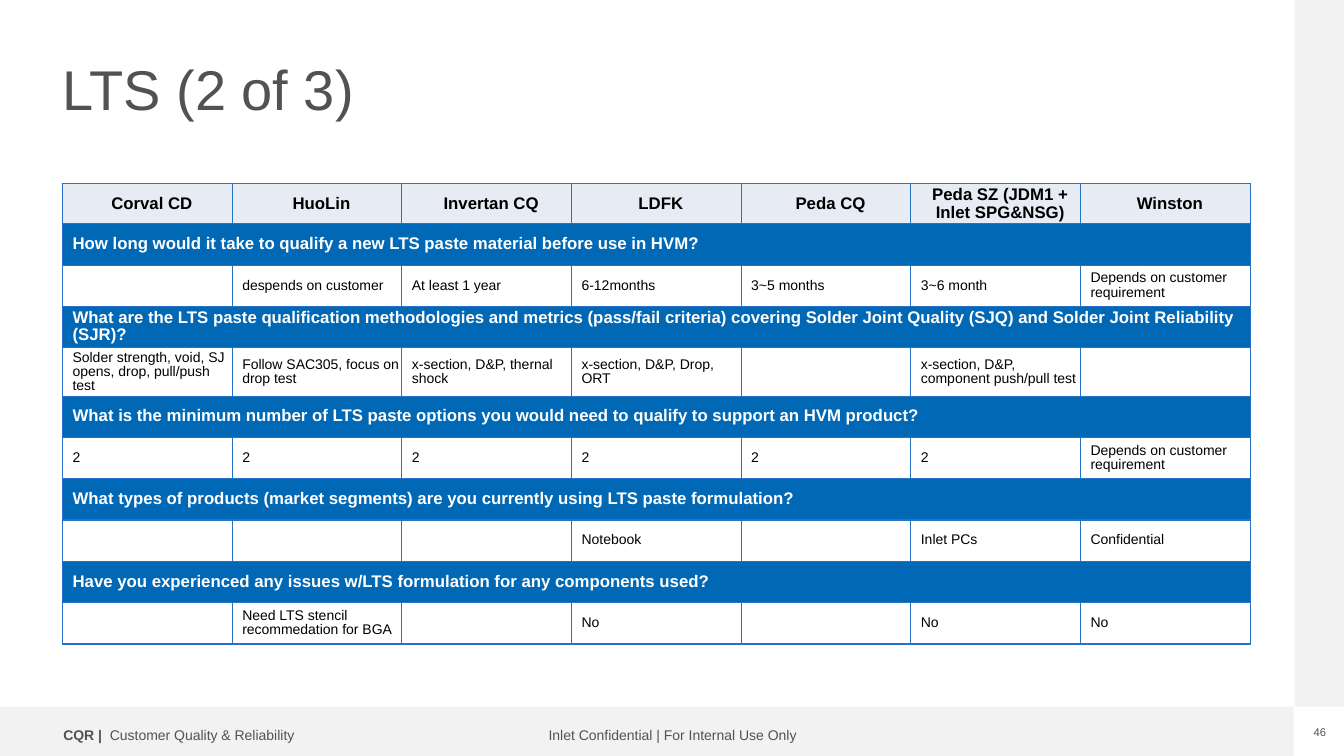
"""Builds the LTS survey slide: answers of seven manufacturers to five questions."""
import pptx
import pptx.util
import pptx.dml.color
import pptx.enum.shapes
import pptx.enum.text
import lxml.etree
from pptx.util import Inches

COLORS = {"band": "F2F2F2", "grey": "525252", "header": "E7EBF3", "question": "0068B5",
          "border": "2872C5", "white": "FFFFFF", "black": "000000"}
ALIGN = pptx.enum.text.PP_ALIGN
ANCHOR = pptx.enum.text.MSO_ANCHOR

manufacturers = ["Corval CD", "HuoLin", "Invertan CQ", "LDFK", "Peda CQ",
                 "Peda SZ (JDM1 + Inlet SPG&NSG)", "Winston"]
survey = [
    ("How long would it take to qualify a new LTS paste material before use in HVM?",
     ["", "despends on customer", "At least 1 year", "6-12months", "3~5 months", "3~6 month",
      "Depends on customer requirement"]),
    ("What are the LTS paste qualification methodologies and metrics (pass/fail criteria) "
     "covering Solder Joint Quality (SJQ) and Solder Joint Reliability (SJR)?",
     ["Solder strength, void, SJ opens, drop, pull/push test", "Follow SAC305, focus on drop test",
      "x-section, D&P, thernal shock", "x-section, D&P, Drop, ORT", "",
      "x-section, D&P, component push/pull test", ""]),
    ("What is the minimum number of LTS paste options you would need to qualify "
     "to support an HVM product?",
     ["2"] * 6 + ["Depends on customer requirement"]),
    ("What types of products (market segments) are you currently using LTS paste formulation?",
     ["", "", "", "Notebook", "", "Inlet PCs", "Confidential"]),
    ("Have you experienced any issues w/LTS formulation for any components used?",
     ["", "Need LTS stencil recommedation for BGA", "", "No", "", "No", "No"]),
]


def add_run(paragraph, text, size, color, bold=False):
    run = paragraph.add_run()
    run.text = text
    font_format = {"name": "Arial", "size": pptx.util.Pt(size), "bold": bold}
    for attribute, value in font_format.items():
        setattr(run.font, attribute, value)
    run.font.color.rgb = pptx.dml.color.RGBColor.from_string(COLORS[color])


def fill_cell(cell, text, size, color, fill, bold=False, align=ALIGN.LEFT, spacing=0.9):
    cell_format = {"margin_left": Inches(0.1), "margin_right": Inches(0.01),
                   "margin_top": Inches(0), "margin_bottom": Inches(0),
                   "vertical_anchor": ANCHOR.MIDDLE}
    for attribute, value in cell_format.items():
        setattr(cell, attribute, value)
    paragraph = cell.text_frame.paragraphs[0]
    paragraph.alignment = align
    paragraph.line_spacing = spacing
    if text:
        add_run(paragraph, text, size, color, bold)
    properties = cell._tc.get_or_add_tcPr()
    for side in ("lnL", "lnR", "lnT", "lnB"):
        properties.append(pptx.oxml.parse_xml(
            f'<a:{side} xmlns:a="http://schemas.openxmlformats.org/drawingml/2006/main" w="12700">'
            f'<a:solidFill><a:srgbClr val="{COLORS["border"]}"/></a:solidFill></a:{side}>'))
    cell.fill.solid()
    cell.fill.fore_color.rgb = pptx.dml.color.RGBColor.from_string(COLORS[fill])


presentation = pptx.Presentation()
presentation.slide_width = Inches(13.33)
presentation.slide_height = Inches(7.5)
slide = presentation.slides.add_slide(presentation.slide_layouts[5])

for left, top, width, height in [(-0.01, 7.01, 12.84, 0.49), (12.84, 0, 0.49, 7.01)]:
    band = slide.shapes.add_shape(pptx.enum.shapes.MSO_SHAPE.RECTANGLE, Inches(left), Inches(top),
                                  Inches(width), Inches(height))
    band.shadow.inherit = False
    band.fill.solid()
    band.fill.fore_color.rgb = pptx.dml.color.RGBColor.from_string(COLORS["band"])
    band.line.fill.background()

footers = [
    (5.29, 7.18, 2.76, 0.25, ALIGN.CENTER, 10, 0.1, 0.05,
     [("Inlet Confidential | For Internal Use Only", False)]),
    (0.53, 7.18, 2.54, 0.25, ALIGN.LEFT, 10, 0.1, 0.05,
     [("CQR | ", True), (" Customer Quality & Reliability", False)]),
    (13.02, 7.2, 0.14, 0.13, ALIGN.CENTER, 8, 0, 0, [("46", False)]),
]
for left, top, width, height, align, size, side_margin, edge_margin, parts in footers:
    footer = slide.shapes.add_textbox(Inches(left), Inches(top), Inches(width), Inches(height))
    footer_format = {"margin_left": Inches(side_margin), "margin_right": Inches(side_margin),
                     "margin_top": Inches(edge_margin), "margin_bottom": Inches(edge_margin),
                     "word_wrap": False,
                     "auto_size": pptx.enum.text.MSO_AUTO_SIZE.SHAPE_TO_FIT_TEXT}
    for attribute, value in footer_format.items():
        setattr(footer.text_frame, attribute, value)
    line = footer.text_frame.paragraphs[0]
    line.alignment = align
    line.line_spacing = 0.9 if size == 10 else 1.0
    for text, bold in parts:
        add_run(line, text, size, "grey", bold)

title = slide.shapes.title
title_place = {"left": 0.62, "top": 0.62, "width": 12.04, "height": 1.04}
for attribute, value in title_place.items():
    setattr(title, attribute, Inches(value))
title_format = {"margin_left": 0, "margin_right": 0, "margin_top": 0, "margin_bottom": 0,
                "vertical_anchor": ANCHOR.TOP, "word_wrap": True,
                "auto_size": pptx.enum.text.MSO_AUTO_SIZE.NONE}
for attribute, value in title_format.items():
    setattr(title.text_frame, attribute, value)
heading = title.text_frame.paragraphs[0]
heading.alignment = ALIGN.LEFT
heading.line_spacing = 0.9
add_run(heading, "LTS (2 of 3)", 40, "grey")

answers_table = slide.shapes.add_table(1 + 2 * len(survey), len(manufacturers), Inches(0.62),
                                       Inches(1.82), Inches(11.78), Inches(4.5)).table
answers_table.first_row = False
answers_table.horz_banding = False
for column in answers_table.columns:
    column.width = Inches(11.78 / len(manufacturers))
for row in answers_table.rows:
    row.height = Inches(0.41)
answers_table.rows[0].height = Inches(0.37)
answers_table.rows[4].height = Inches(0.48)

for column, manufacturer in enumerate(manufacturers):
    fill_cell(answers_table.cell(0, column), manufacturer, 12, "black", "header", True,
              ALIGN.CENTER, 1.0)
for number, (question, answers) in enumerate(survey):
    question_row = 1 + 2 * number
    answers_table.cell(question_row, 0).merge(
        answers_table.cell(question_row, len(manufacturers) - 1))
    for column, answer in enumerate(answers):
        fill_cell(answers_table.cell(question_row, column), "" if column else question, 12,
                  "white", "question", True)
        fill_cell(answers_table.cell(question_row + 1, column), answer, 10, "black", "white")

presentation.save("out.pptx")
